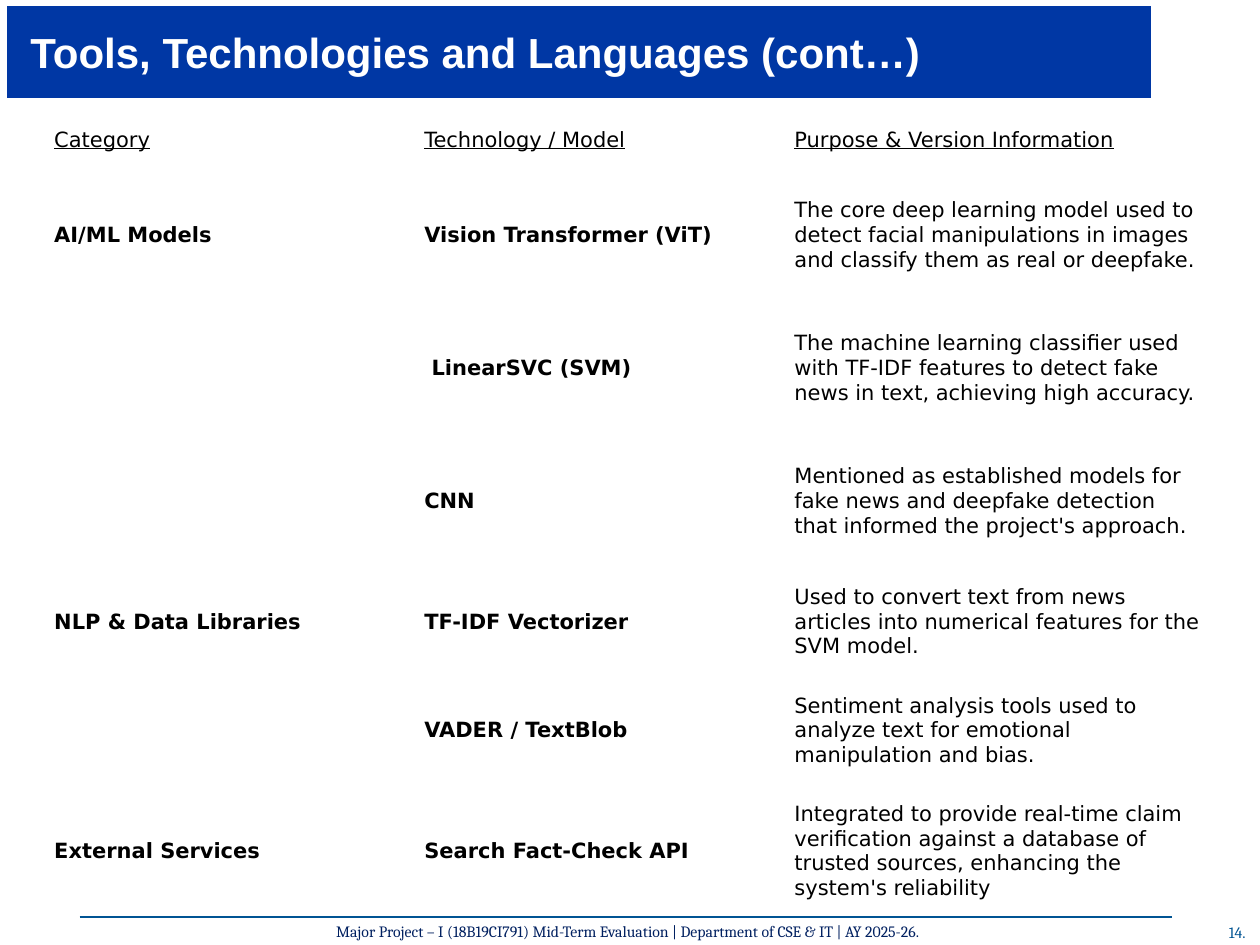
"""Build the tools, technologies and languages slide."""
from pptx import Presentation
from pptx.dml.color import RGBColor
from pptx.enum.shapes import MSO_CONNECTOR
from pptx.enum.text import MSO_ANCHOR, MSO_AUTO_SIZE, PP_ALIGN
from pptx.oxml.ns import qn
from pptx.util import Pt
from lxml.etree import SubElement

BLUE = RGBColor(0x00, 0x37, 0xA4)
NAVY = RGBColor(0x00, 0x20, 0x60)
TEAL = RGBColor(0x00, 0x54, 0x93)
WHITE = RGBColor(0xFF, 0xFF, 0xFF)
BLACK = RGBColor(0x00, 0x00, 0x00)

ROWS = [
    ("Category", "Technology / Model", "Purpose & Version Information"),
    ("AI/ML Models", "Vision Transformer (ViT)",
     "The core deep learning model used to detect facial manipulations in images "
     "and classify them as real or deepfake."),
    ("", " LinearSVC (SVM)",
     "The machine learning classifier used with TF-IDF features to detect fake "
     "news in text, achieving high accuracy."),
    ("", "CNN",
     "Mentioned as established models for fake news and deepfake detection that "
     "informed the project's approach."),
    ("NLP & Data Libraries", "TF-IDF Vectorizer",
     "Used to convert text from news articles into numerical features for the SVM model."),
    ("", "VADER / TextBlob",
     "Sentiment analysis tools used to analyze text for emotional manipulation and bias."),
    ("External Services", "Search Fact-Check API",
     "Integrated to provide real-time claim verification against a database of "
     "trusted sources, enhancing the system's reliability"),
]
COL_WIDTHS = [211.5, 211.5, 243]
ROW_HEIGHTS = [33, 76, 76, 76, 62, 62, 76]


def style(p, font, size, color, bold=False, underline=False):
    for r in p.runs:
        r.font.name = font
        r.font.size = Pt(size)
        r.font.color.rgb = color
        r.font.bold = bold
        r.font.underline = underline


prs = Presentation()
prs.slide_width, prs.slide_height = Pt(720), Pt(540)
s = prs.slides.add_slide(prs.slide_layouts[5])

title = s.shapes.title
title.left, title.top, title.width, title.height = Pt(3), Pt(2.3), Pt(656), Pt(55)
title.fill.solid()
title.fill.fore_color.rgb = BLUE
title.line.color.rgb = WHITE
title.line.width = Pt(2.5)
tf = title.text_frame
tf.text = "Tools, Technologies and Languages (cont…)"
tf.auto_size = MSO_AUTO_SIZE.NONE
tf.vertical_anchor = MSO_ANCHOR.MIDDLE
tf.margin_left = Pt(14.4)
tf.paragraphs[0].alignment = PP_ALIGN.LEFT
style(tf.paragraphs[0], "Arial", 24, WHITE, bold=True)

table = s.shapes.add_table(len(ROWS), len(COL_WIDTHS), Pt(26), Pt(63.4),
                           Pt(sum(COL_WIDTHS)), Pt(sum(ROW_HEIGHTS))).table
table.first_row = table.horz_banding = False
for column, width in zip(table.columns, COL_WIDTHS):
    column.width = Pt(width)
for i, (texts, height) in enumerate(zip(ROWS, ROW_HEIGHTS)):
    table.rows[i].height = Pt(height)
    for j, text in enumerate(texts):
        cell = table.cell(i, j)
        cell.fill.background()
        cell.vertical_anchor = MSO_ANCHOR.MIDDLE
        cell.margin_left = cell.margin_right = Pt(5)
        cell.margin_top = cell.margin_bottom = Pt(2.5)
        cell.text = text
        style(cell.text_frame.paragraphs[0], "DejaVu Sans", 12, BLACK,
              bold=i > 0 and j < 2, underline=i == 0)

rule = s.shapes.add_connector(MSO_CONNECTOR.STRAIGHT, Pt(45.5), Pt(524), Pt(670), Pt(524))
rule.line.color.rgb = TEAL
rule.line.width = Pt(0.75)
SubElement(rule._element.spPr, qn("a:effectLst"))

FOOTERS = [
    ("Major Project – I (18B19CI791) Mid-Term Evaluation | Department of CSE & IT | AY 2025-26.",
     16, 526.3, 685, 15, NAVY, MSO_ANCHOR.BOTTOM),
    ("14.", 692.5, 523.5, 29, 18, TEAL, MSO_ANCHOR.TOP),
]
for text, left, top, width, height, color, anchor in FOOTERS:
    tf = s.shapes.add_textbox(Pt(left), Pt(top), Pt(width), Pt(height)).text_frame
    tf.word_wrap = True
    tf.vertical_anchor = anchor
    tf.margin_left = tf.margin_right = 0
    tf.text = text
    tf.paragraphs[0].alignment = PP_ALIGN.CENTER
    style(tf.paragraphs[0], "Cambria", 9, color)

prs.save("out.pptx")
